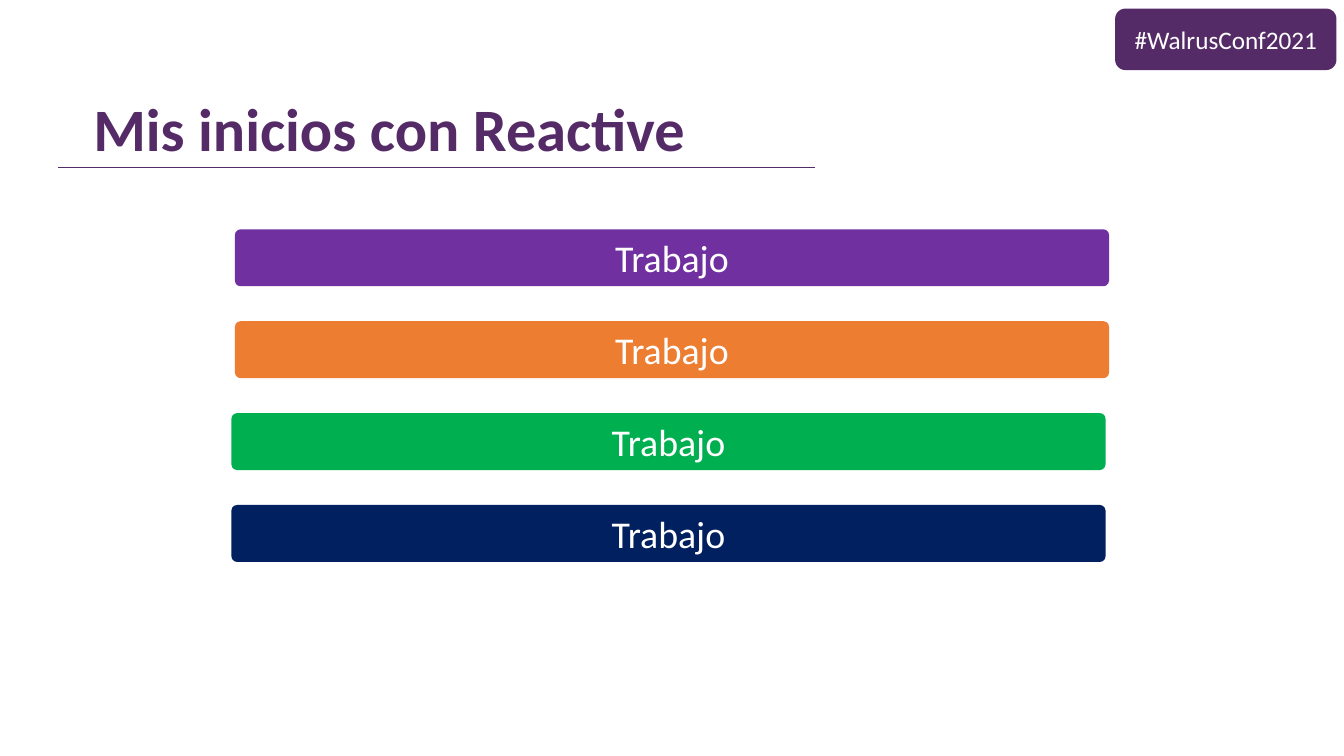
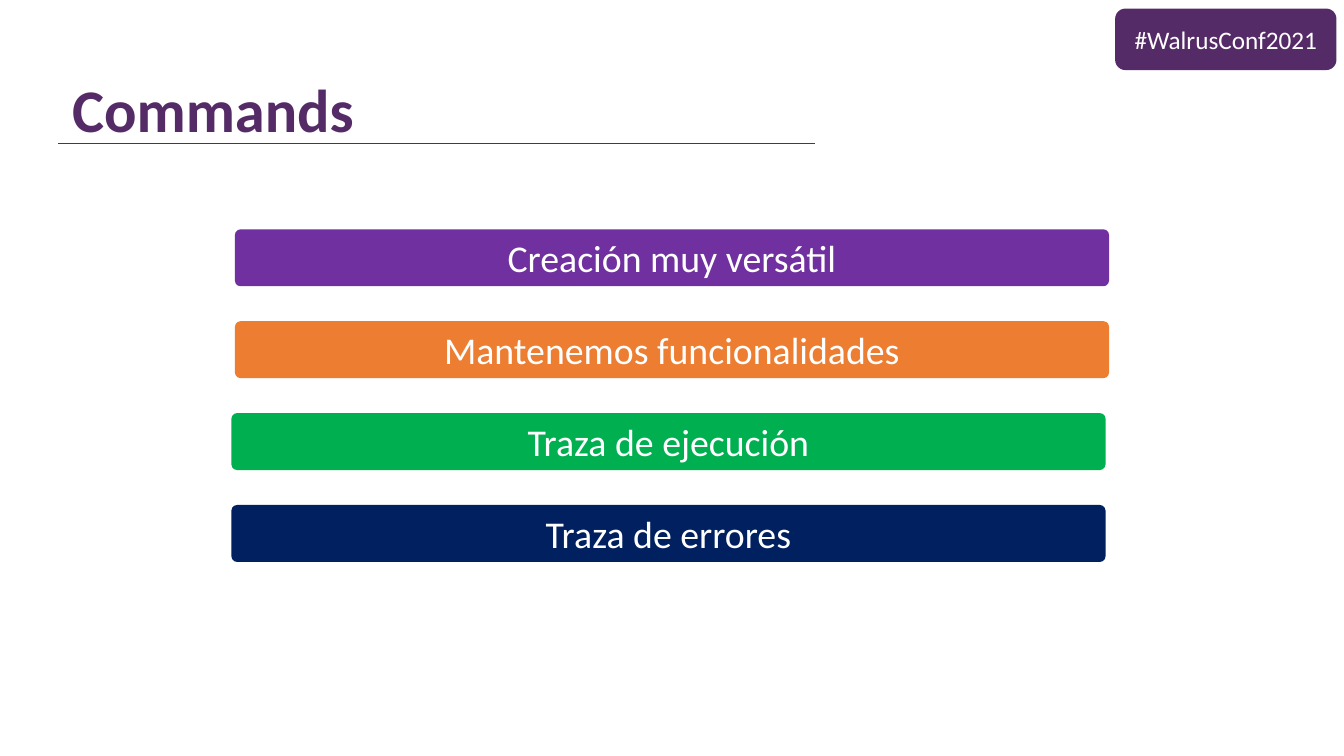
from lxml import etree
from pptx import Presentation
from pptx.dml.color import RGBColor
from pptx.enum.shapes import MSO_CONNECTOR, MSO_SHAPE
from pptx.enum.text import MSO_ANCHOR, MSO_AUTO_SIZE, PP_ALIGN
from pptx.oxml.ns import qn
from pptx.util import Pt

PX = 9144
WIDE, HIGH = 2666, 1500
TITLE_ONLY = 5
ROUND = MSO_SHAPE.ROUNDED_RECTANGLE
STRAIGHT = MSO_CONNECTOR.STRAIGHT
LEFT, CENTER = PP_ALIGN.LEFT, PP_ALIGN.CENTER
MIDDLE, BOTTOM = MSO_ANCHOR.MIDDLE, MSO_ANCHOR.BOTTOM
FIXED = MSO_AUTO_SIZE.NONE

PLUM = RGBColor(0x55, 0x2B, 0x67)
PURPLE = RGBColor(0x70, 0x30, 0xA0)
ORANGE = RGBColor(0xED, 0x7D, 0x31)
GREEN = RGBColor(0x00, 0xB0, 0x50)
NAVY = RGBColor(0x00, 0x20, 0x60)
WHITE = RGBColor(0xFF, 0xFF, 0xFF)

FONT = "Calibri"
TAG = "#WalrusConf2021"
TAG_BOX = (2212, 17, 439, 122)
RULE_LEFT, RULE_RIGHT = 116, 1616
BAR_TOP, BAR_STEP, BAR_WIDE, BAR_HIGH = 455, 182.33, 1734, 113
BARS = [(466, PURPLE), (466, ORANGE), (459, GREEN), (459, NAVY)]

SLIDES = [
    {"title": "Mis inicios con Reactive", "box": (175, 172, 1441, 160),
     "size": 86, "rule": 332, "items": ["Trabajo"] * len(BARS)},
    {"title": "Commands", "box": (133, 141, 1889, 153),
     "size": 86.4, "rule": 284,
     "items": ["Creación muy versátil", "Mantenemos funcionalidades",
               "Traza de ejecución", "Traza de errores"]},
]


def emu(*values):
    """Turn px lengths into EMU."""
    return [round(value * PX) for value in values]


def apply(target, values):
    """Set each attribute of the target from a dict."""
    for name, value in values.items():
        setattr(target, name, value)


def write(shape, text, size, color, bold=False, align=CENTER, anchor=MIDDLE):
    """Put one formatted paragraph into a shape."""
    frame = shape.text_frame
    frame.text = text
    apply(frame, {"word_wrap": True, "auto_size": FIXED,
                  "vertical_anchor": anchor})
    line = frame.paragraphs[0]
    line.alignment = align
    font = line.runs[0].font
    apply(font, {"name": FONT, "size": Pt(size), "bold": bold})
    font.color.rgb = color
    return line


def add_title(slide, text, box, size):
    """Place and format the title placeholder."""
    title = slide.shapes.title
    apply(title, dict(zip(("left", "top", "width", "height"), emu(*box))))
    line = write(title, text, size, PLUM, True, LEFT, BOTTOM)
    line.line_spacing = 0.9


def add_rule(slide, top):
    """Draw the thin line under the title."""
    ends = emu(RULE_LEFT, top, RULE_RIGHT, top)
    rule = slide.shapes.add_connector(STRAIGHT, *ends)
    rule.line.color.rgb = PLUM
    rule.line.width = Pt(0.5)
    etree.SubElement(rule._element.spPr, qn("a:effectLst"))


def add_block(slide, box, text, size, fill):
    """Add a filled round box with centred white text."""
    block = slide.shapes.add_shape(ROUND, *emu(*box))
    block.shadow.inherit = False
    block.fill.solid()
    block.fill.fore_color.rgb = fill
    block.line.fill.background()
    write(block, text, size, WHITE)
    return block


def add_bars(slide, items):
    """Stack one coloured bar for each item."""
    for row, (text, (left, fill)) in enumerate(zip(items, BARS)):
        box = (left, BAR_TOP + row * BAR_STEP, BAR_WIDE, BAR_HIGH)
        bar = add_block(slide, box, text, 54, fill)
        bar.adjustments[0] = 0.1


def main():
    """Build and save the deck."""
    deck = Presentation()
    deck.slide_width, deck.slide_height = emu(WIDE, HIGH)
    for page in SLIDES:
        slide = deck.slides.add_slide(deck.slide_layouts[TITLE_ONLY])
        add_title(slide, page["title"], page["box"], page["size"])
        add_rule(slide, page["rule"])
        add_bars(slide, page["items"])
        add_block(slide, TAG_BOX, TAG, 36, PLUM)
    deck.save("out.pptx")


if __name__ == "__main__":
    main()
